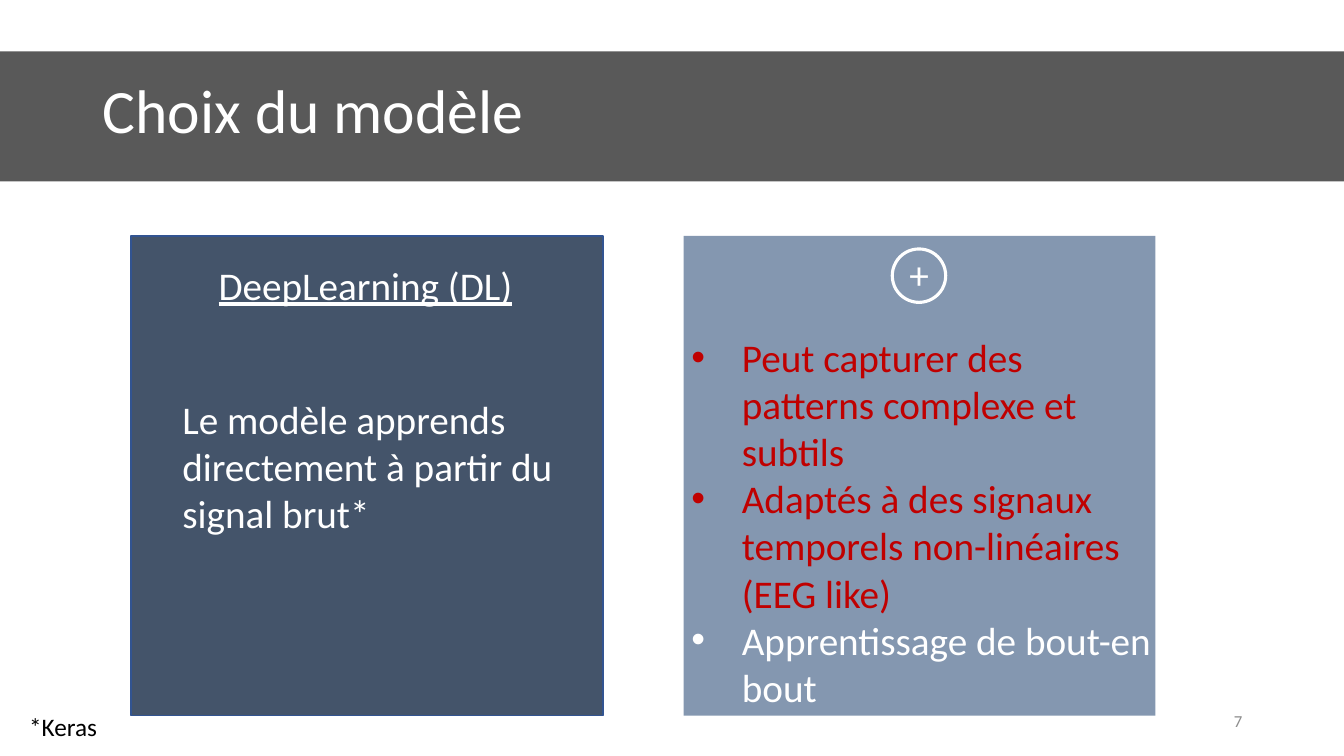
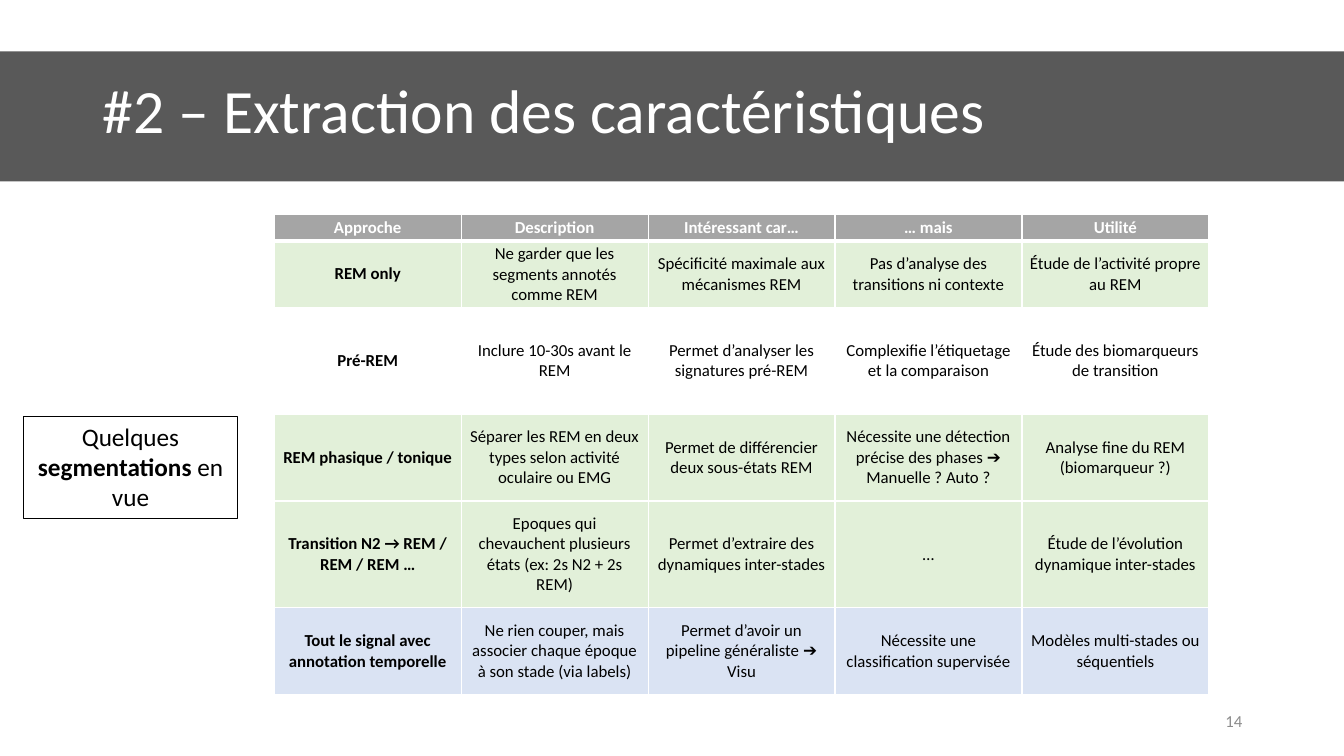
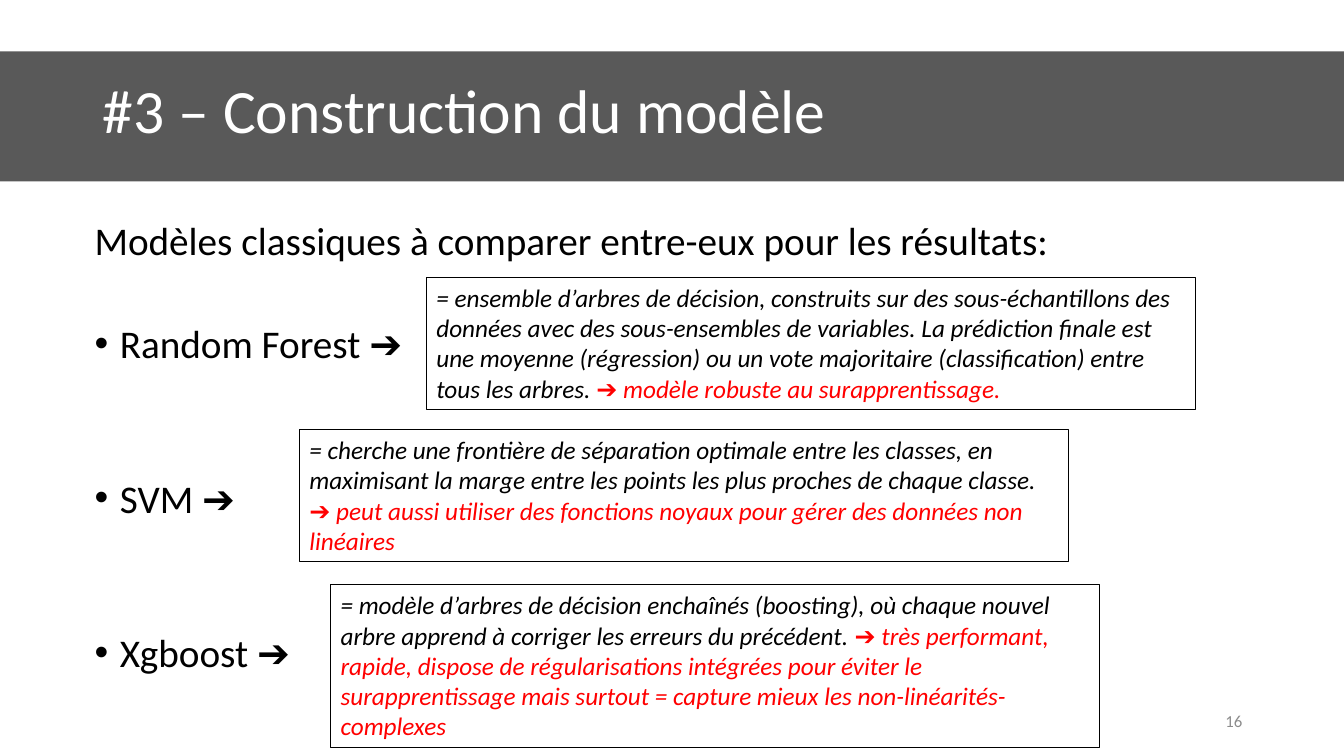
from lxml import etree
from pptx import Presentation
from pptx import util as u
from pptx.dml.color import RGBColor
from pptx.enum import shapes, text
from pptx.oxml.ns import qn

FONT = "Calibri"
WHITE, BLACK, GREY = "FFFFFF", "000000", "8C8C8C"
BAND, NAVY, NAVY_EDGE, STEEL = "595959", "44546A", "325491", "8497B0"
CRIMSON, RED = "C00000", "FF0000"
HEADER, GREEN, BLUE = "A5A5A5", "E2F0D9", "DAE3F3"
LEFT, CENTER, RIGHT = text.PP_ALIGN.LEFT, text.PP_ALIGN.CENTER, text.PP_ALIGN.RIGHT
TOP, MIDDLE = text.MSO_ANCHOR.TOP, text.MSO_ANCHOR.MIDDLE


def rgb(color):
    return RGBColor.from_string(color)


def inches(box):
    return [u.Inches(length) for length in box]


class Deck:
    """Holds the shared style and the current slide."""

    def __init__(self):
        self.presentation = Presentation()
        self.presentation.slide_width = u.Inches(13.33)
        self.presentation.slide_height = u.Inches(7.5)
        self.slide = None

    def new_slide(self, title, number):
        layout = self.presentation.slide_layouts[6]
        self.slide = self.presentation.slides.add_slide(layout)
        self.shape((0, 0.51, 13.33, 1.29), fill=BAND)
        heading = self.label((0.92, 0.4, 11.5, 1.45), [title], 44, WHITE,
                             anchor=MIDDLE, grow=False)
        heading.text_frame.paragraphs[0].line_spacing = 0.9
        self.label((9.42, 6.95, 3, 0.4), [number], 12, GREY, align=RIGHT,
                   anchor=MIDDLE, grow=False)

    def shape(self, box, fill=None, line=None, width=1,
              kind=shapes.MSO_SHAPE.RECTANGLE):
        shape = self.slide.shapes.add_shape(kind, *inches(box))
        shape.shadow.inherit = False
        if fill:
            shape.fill.solid()
            shape.fill.fore_color.rgb = rgb(fill)
        else:
            shape.fill.background()
        if line:
            shape.line.color.rgb = rgb(line)
            shape.line.width = u.Pt(width)
        else:
            shape.line.fill.background()
        return shape

    def label(self, box, lines, size, color, **options):
        shape = self.slide.shapes.add_textbox(*inches(box))
        self.set_text(shape.text_frame, lines, size, color, **options)
        return shape

    def framed(self, box, runs, **options):
        shape = self.shape(box, line=BLACK, width=0.75)
        self.set_text(shape.text_frame, [runs], 18, BLACK, **options)

    def set_text(self, frame, lines, size, color, align=LEFT, anchor=TOP,
                 grow=True, wrap=True, italic=None):
        """Each line is a string or a list of (text, font settings) runs."""
        frame.word_wrap = wrap
        frame.vertical_anchor = anchor
        fit = text.MSO_AUTO_SIZE
        frame.auto_size = fit.SHAPE_TO_FIT_TEXT if grow else fit.NONE
        for index, line in enumerate(lines):
            paragraph = frame.add_paragraph() if index else frame.paragraphs[0]
            paragraph.alignment = align
            self.style(paragraph.font, size, color)
            paragraph.font.italic = italic
            for words, settings in [(line, {})] if isinstance(line, str) else line:
                run = paragraph.add_run()
                run.text = words
                if "color" in settings:
                    run.font.color.rgb = rgb(settings["color"])
                if "bold" in settings:
                    run.font.bold = settings["bold"]

    def style(self, font, size, color):
        font.name, font.size = FONT, u.Pt(size)
        font.color.rgb = rgb(color)

    def bullet(self, paragraph, indent):
        properties = paragraph._p.get_or_add_pPr()
        properties.set("marL", str(u.Inches(indent)))
        properties.set("indent", str(-u.Inches(indent)))
        mark = etree.Element(qn("a:buChar"), char="•")
        font = etree.Element(qn("a:buFont"), typeface="Arial")
        defaults = properties.find(qn("a:defRPr"))
        defaults.addprevious(font)
        defaults.addprevious(mark)

    def border(self, cell, side, width):
        line = etree.SubElement(cell._tc.get_or_add_tcPr(), qn("a:ln" + side),
                                w=str(u.Pt(width)))
        fill = etree.SubElement(line, qn("a:solidFill"))
        etree.SubElement(fill, qn("a:srgbClr"), val=WHITE)

    def table(self, box, rows, heights, fills):
        columns = len(rows[0])
        frame = self.slide.shapes.add_table(len(rows), columns, *inches(box))
        table = frame.table
        table.horz_banding = False
        for column in table.columns:
            column.width = u.Inches(box[2] / columns)
        for r, row in enumerate(rows):
            table.rows[r].height = u.Inches(heights[r])
            for c, words in enumerate(row):
                cell = table.cell(r, c)
                cell.margin_left = cell.margin_right = u.Inches(0.07)
                cell.margin_top = cell.margin_bottom = u.Inches(0.03)
                cell.vertical_anchor = MIDDLE
                for side in "LRTB":
                    under_header = (r, side) in ((0, "B"), (1, "T"))
                    self.border(cell, side, 3 if under_header else 1)
                cell.fill.solid()
                cell.fill.fore_color.rgb = rgb(fills[r])
                cell.text = words
                paragraph = cell.text_frame.paragraphs[0]
                paragraph.alignment = CENTER
                self.style(paragraph.font, 12, BLACK if r else WHITE)
                paragraph.font.bold = r == 0 or c == 0


def model_choice(deck):
    deck.new_slide("Choix du modèle", "7")
    # Panels
    deck.shape((1.3, 2.34, 4.68, 4.76), fill=NAVY, line=NAVY_EDGE)
    deck.shape((6.78, 2.34, 4.68, 4.76), fill=STEEL)
    # Approach
    name = deck.label((2.07, 2.54, 3.15, 0.57), ["DeepLearning (DL)"], 28, WHITE,
                      wrap=False)
    name.text_frame.paragraphs[0].font.underline = True
    deck.label((1.71, 3.87, 4.19, 1.51),
               ["Le modèle apprends directement à partir du signal brut*"], 28, WHITE)
    # Advantages
    deck.label((8.74, 2.43, 0.75, 0.57), ["+"], 28, WHITE, align=CENTER)
    deck.shape((8.85, 2.47, 0.53, 0.53), line=WHITE, width=2.25,
               kind=shapes.MSO_SHAPE.OVAL)
    advantages = deck.label((6.76, 3.26, 4.83, 3.87), [
        "Peut capturer des patterns complexe et subtils",
        "Adaptés à des signaux temporels non-linéaires (EEG like)",
        "Apprentissage de bout-en bout"], 28, CRIMSON).text_frame.paragraphs
    for paragraph in advantages:
        deck.bullet(paragraph, 0.5)
    advantages[-1].font.color.rgb = rgb(WHITE)
    # Footnote
    deck.label((0.19, 7.01, 0.88, 0.4), ["*Keras"], 18, BLACK, wrap=False)


def feature_extraction(deck):
    deck.new_slide("#2 – Extraction des caractéristiques", "14")
    rows = [
        ("Approche", "Description", "Intéressant car…", "… mais", "Utilité"),
        ("REM only", "Ne garder que les segments annotés comme REM",
         "Spécificité maximale aux mécanismes REM",
         "Pas d’analyse des transitions ni contexte",
         "Étude de l’activité propre au REM"),
        ("Pré-REM", "Inclure 10-30s avant le REM",
         "Permet d’analyser les signatures pré-REM",
         "Complexifie l’étiquetage et la comparaison",
         "Étude des biomarqueurs de transition"),
        ("REM phasique / tonique",
         "Séparer les REM en deux types selon activité oculaire ou EMG",
         "Permet de différencier deux sous-états REM",
         "Nécessite une détection précise des phases ➔ Manuelle ? Auto ?",
         "Analyse fine du REM (biomarqueur ?)"),
        ("Transition N2 → REM / REM / REM …",
         "Epoques qui chevauchent plusieurs états (ex: 2s N2 + 2s REM)",
         "Permet d’extraire des dynamiques inter-stades", "…",
         "Étude de l’évolution dynamique inter-stades"),
        ("Tout le signal avec annotation temporelle",
         "Ne rien couper, mais associer chaque époque à son stade (via labels)",
         "Permet d’avoir un pipeline généraliste ➔ Visu",
         "Nécessite une classification supervisée",
         "Modèles multi-stades ou séquentiels"),
    ]
    deck.table((2.72, 2.13, 9.27, 4.77), rows,
               heights=(0.26, 0.66, 1.06, 0.86, 1.06, 0.86),
               fills=(HEADER, GREEN, WHITE, GREEN, GREEN, BLUE))
    deck.framed((0.23, 4.13, 2.13, 1.01),
                [("Quelques ", {}), ("segmentations", {"bold": True}), (" en vue", {})],
                align=CENTER)


def model_building(deck):
    deck.new_slide("#3 – Construction du modèle", "16")
    # Model list
    body = deck.label((0.84, 2.19, 11.5, 4.76), [
        "Modèles classiques à comparer entre-eux pour les résultats:",
        "Random Forest ➔", "SVM ➔", "Xgboost ➔"], 28, BLACK, grow=False)
    for paragraph, gap in zip(body.text_frame.paragraphs, (0, 46.5, 83.5, 83.5)):
        paragraph.line_spacing = 0.8
        if gap:
            paragraph.space_before = u.Pt(gap)
            deck.bullet(paragraph, 0.25)
    # Explanations
    explanations = [
        (4.23, 2.75, 1.31,
         "= ensemble d’arbres de décision, construits sur des sous-échantillons des "
         "données avec des sous-ensembles de variables. La prédiction finale est une "
         "moyenne (régression) ou un vote majoritaire (classification) entre tous les "
         "arbres. ",
         "➔ modèle robuste au surapprentissage."),
        (2.97, 4.26, 1.31,
         "= cherche une frontière de séparation optimale entre les classes, en "
         "maximisant la marge entre les points les plus proches de chaque classe. ",
         "➔ peut aussi utiliser des fonctions noyaux pour gérer des données non "
         "linéaires"),
        (3.28, 5.8, 1.62,
         "= modèle d’arbres de décision enchaînés (boosting), où chaque nouvel arbre "
         "apprend à corriger les erreurs du précédent. ",
         "➔ très performant, rapide, dispose de régularisations intégrées pour éviter "
         "le surapprentissage mais surtout = capture mieux les "
         "non-linéarités-complexes"),
    ]
    for left, top, height, definition, strength in explanations:
        deck.framed((left, top, 7.63, height),
                    [(definition, {}), (strength, {"color": RED})], italic=True)


def main():
    deck = Deck()
    model_choice(deck)
    feature_extraction(deck)
    model_building(deck)
    deck.presentation.save("out.pptx")


if __name__ == "__main__":
    main()
